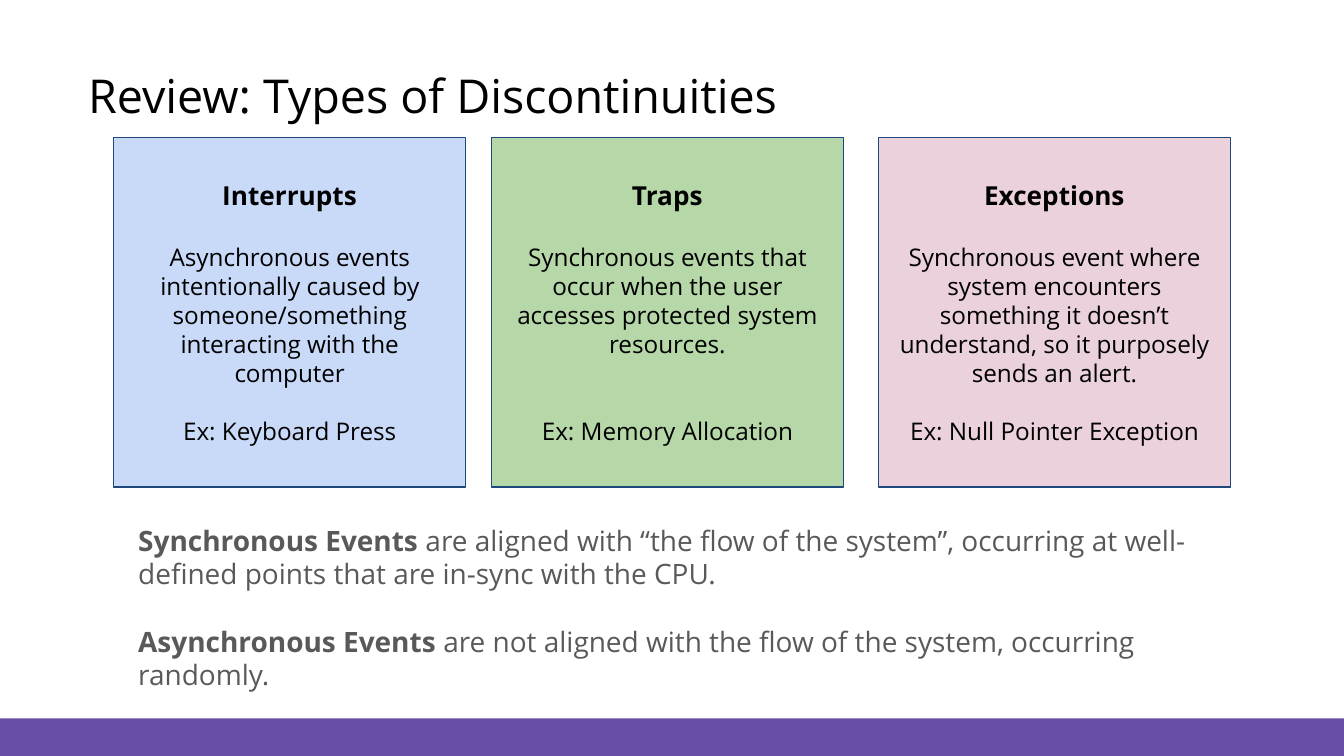
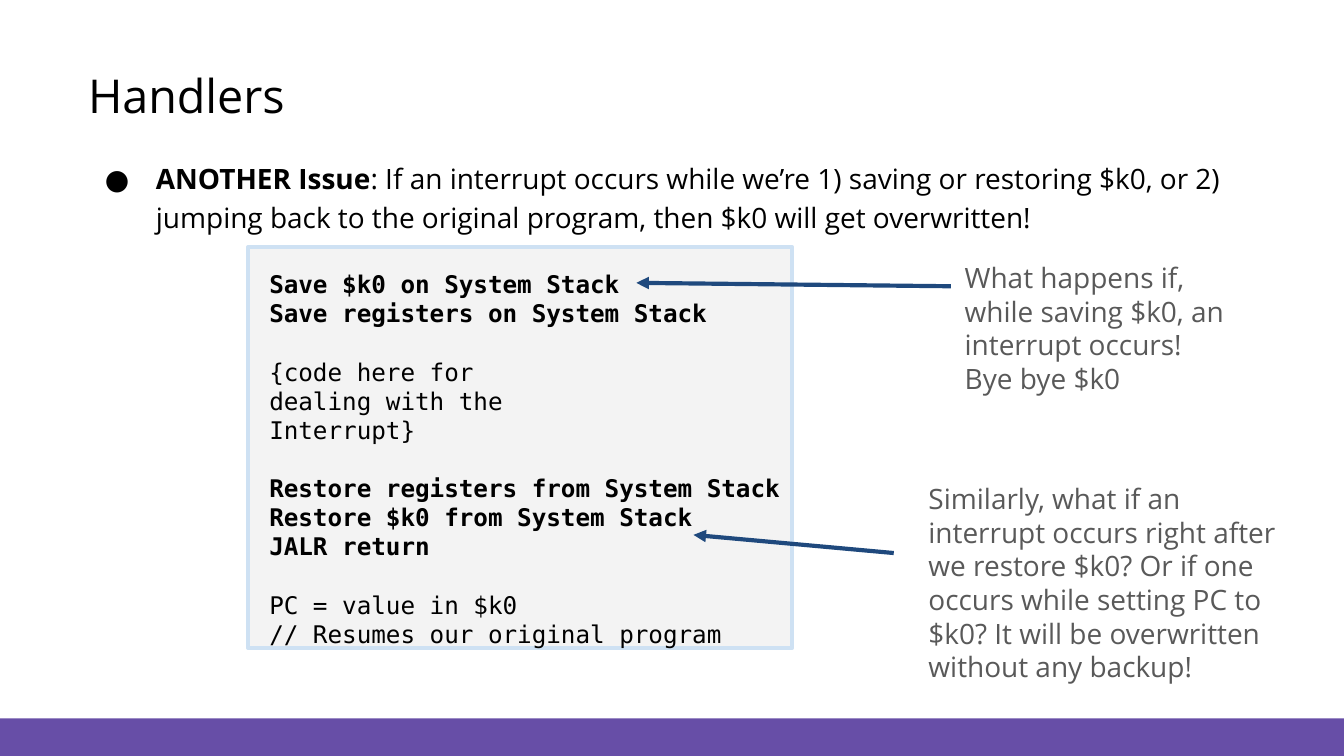
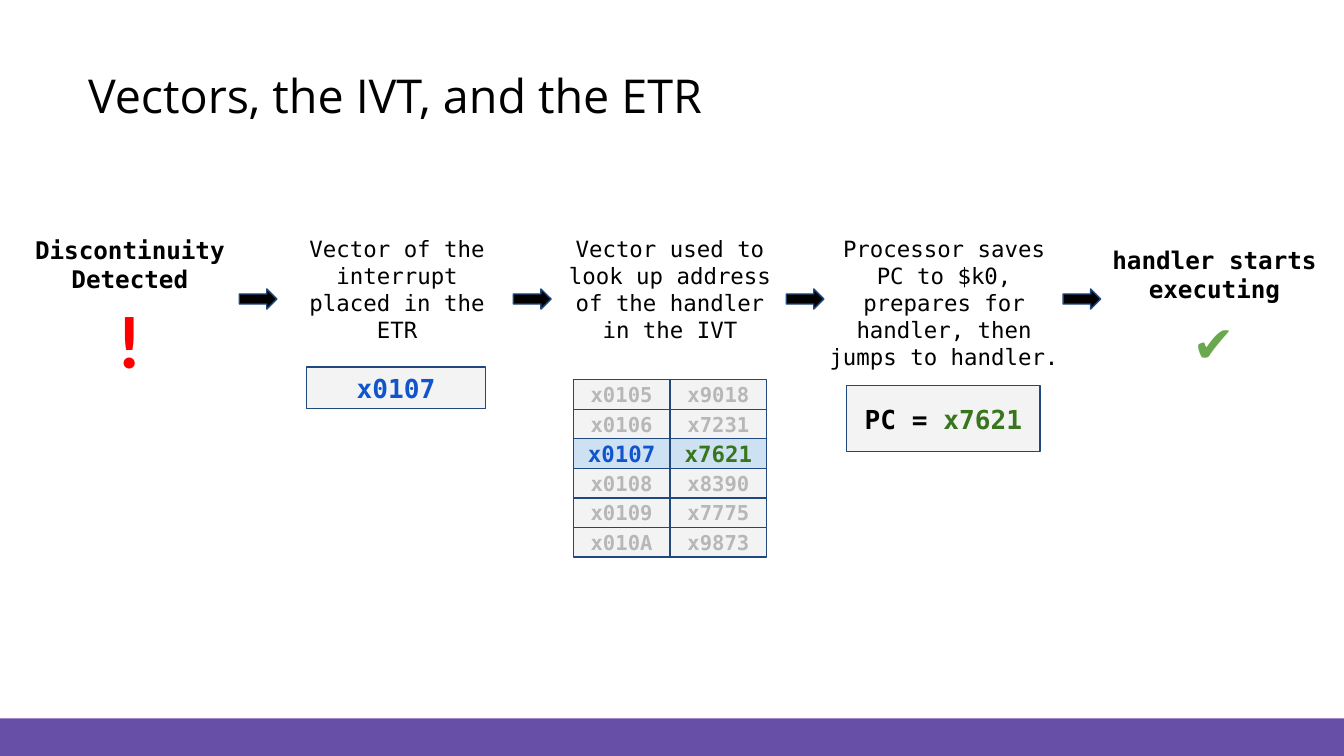
"""Build three slides on interrupts, their handlers and vectors."""
from dataclasses import dataclass

from lxml import etree
from pptx import Presentation
from pptx import util as u
from pptx.dml.color import RGBColor
from pptx.enum import shapes, text
from pptx.oxml import ns

SCALE = 4572
LEADING = 1.2


@dataclass(frozen=True)
class Theme:
    """Colours, fonts and type sizes of the deck."""
    black: str = "000000"
    grey: str = "595959"
    faded: str = "B7B7B7"
    panel: str = "F3F3F3"
    navy: str = "1F497D"
    purple: str = "674EA7"
    pale: str = "CEE1F3"
    blue: str = "1155CC"
    green: str = "38761D"
    tick: str = "6AA84F"
    red: str = "FF0000"
    sky: str = "C9DAF8"
    mint: str = "B6D7A8"
    rose: str = "EAD1DC"
    sans: str = "Open Sans"
    mono: str = "DejaVu Sans Mono"
    plain: str = "Calibri"
    title: int = 25
    body: int = 15
    head: int = 14
    code: int = 13
    step: int = 12
    dim: int = 11
    alarm: int = 40
    check: int = 31
    thin: float = 0.75
    thick: float = 2.25


T = Theme()


@dataclass(frozen=True)
class Box:
    """A place on the slide in px."""
    x: int
    y: int
    w: int
    h: int

    def emu(self) -> list[u.Emu]:
        """Return the place in EMU."""
        return [px(n) for n in (self.x, self.y, self.w, self.h)]


@dataclass(frozen=True)
class Run:
    """A stretch of text with its own weight and colour."""
    words: str
    bold: bool = False
    hue: str = T.black


@dataclass(frozen=True)
class Para:
    """A paragraph with a gap before it, counted in lines."""
    runs: tuple[Run, ...]
    size: int = T.code
    font: str = T.sans
    gap: int = 0


@dataclass(frozen=True)
class Card:
    """A kind of event in a coloured square."""
    x: int
    fill: str
    name: str
    what: str
    sample: str
    gap: int = 1


@dataclass(frozen=True)
class Step:
    """One stage of the flow in a column of text."""
    box: Box
    words: str
    size: int = T.step
    bold: bool = False
    mark: tuple[Para, ...] = ()


@dataclass(frozen=True)
class Note:
    """A remark with an arrow to the code."""
    box: Box
    words: str
    start: tuple[int, int]
    end: tuple[int, int]


def px(n: int) -> u.Emu:
    """Turn px into EMU."""
    return u.Emu(n * SCALE)


def para(words: str, size: int = T.code, font: str = T.sans, bold: bool = False,
         hue: str = T.black, gap: int = 0) -> Para:
    """Make a paragraph of one run."""
    return Para((Run(words, bold, hue),), size, font, gap)


def write(frame, paras: list[Para], align=text.PP_ALIGN.LEFT,
          inset: tuple[int, int] = (20, 20)) -> None:
    """Fill a text frame with paragraphs."""
    frame.word_wrap = True
    frame.margin_left = frame.margin_right = px(inset[0])
    frame.margin_top, frame.margin_bottom = px(inset[1]), px(inset[0])
    for i, item in enumerate(paras):
        line = frame.add_paragraph() if i else frame.paragraphs[0]
        line.alignment = align
        if item.gap:
            line.space_before = u.Pt(round(item.gap * paras[i - 1].size * LEADING, 1))
        for part in item.runs:
            run = line.add_run()
            run.text = part.words
            run.font.name, run.font.size = item.font, u.Pt(item.size)
            run.font.bold = part.bold
            run.font.color.rgb = RGBColor.from_string(part.hue)


def label(slide, box: Box, paras: list[Para], align=text.PP_ALIGN.LEFT,
          inset: tuple[int, int] = (20, 20)):
    """Add a text box."""
    shape = slide.shapes.add_textbox(*box.emu())
    write(shape.text_frame, paras, align, inset)
    return shape


def block(slide, box: Box, fill: str, edge: str = "", width: float = T.thin,
          paras: list[Para] | None = None, kind=shapes.MSO_SHAPE.RECTANGLE) -> None:
    """Add a filled shape with centred text."""
    shape = slide.shapes.add_shape(kind, *box.emu())
    shape.shadow.inherit = False
    shape.fill.solid()
    shape.fill.fore_color.rgb = RGBColor.from_string(fill)
    if edge:
        shape.line.color.rgb = RGBColor.from_string(edge)
        shape.line.width = u.Pt(width)
    else:
        shape.line.fill.background()
    if paras:
        write(shape.text_frame, paras, text.PP_ALIGN.CENTER)
        shape.text_frame.vertical_anchor = text.MSO_ANCHOR.MIDDLE


def arrow(slide, start: tuple[int, int], end: tuple[int, int]) -> None:
    """Add a line that ends in a triangle."""
    line = slide.shapes.add_connector(
        shapes.MSO_CONNECTOR.STRAIGHT, *(px(n) for n in start + end))
    line.line.color.rgb = RGBColor.from_string(T.navy)
    line.line.width = u.Pt(T.thick)
    props = line.line._get_or_add_ln()
    etree.SubElement(props, ns.qn("a:tailEnd"), type="triangle")
    etree.SubElement(line._element.spPr, ns.qn("a:effectLst"))


def lookup(slide, box: Box, rows: list[tuple[str, str]], hit: str) -> None:
    """Stack pairs of cells below a first cell and light up one row."""
    for i, row in enumerate(rows):
        lit = row[0] == hit
        for j, (value, hue) in enumerate(zip(row, (T.blue, T.green))):
            cell = Box(box.x + j * box.w, box.y + i * box.h, box.w, box.h)
            item = para(value, T.step if lit else T.dim, T.mono, True,
                        hue if lit else T.faded)
            block(slide, cell, T.pale if lit else T.panel, T.navy, paras=[item])


def page(deck, title: str):
    """Add a slide with its band and title."""
    slide = deck.slides.add_slide(deck.slide_layouts[6])
    block(slide, Box(0, 1069, 2000, 56), T.purple)
    shape = label(slide, Box(131, 96, 1596, 88), [para(title, T.title)], inset=(0, 4))
    shape.text_frame.auto_size = text.MSO_AUTO_SIZE.SHAPE_TO_FIT_TEXT
    return slide


def review(deck) -> None:
    """Build the slide on types of events."""
    slide = page(deck, "Review: Types of Discontinuities")
    cards = [
        Card(169, T.sky, "Interrupts",
             "Asynchronous events intentionally caused by someone/something "
             "interacting with the computer", "Ex: Keyboard Press"),
        Card(731, T.mint, "Traps",
             "Synchronous events that occur when the user accesses protected "
             "system resources.", "Ex: Memory Allocation", 2),
        Card(1307, T.rose, "Exceptions",
             "Synchronous event where system encounters something it doesn’t "
             "understand, so it purposely sends an alert.",
             "Ex: Null Pointer Exception"),
    ]
    for card in cards:
        block(slide, Box(card.x, 205, 524, 520), card.fill, T.navy, paras=[
            para(card.name, T.head, bold=True),
            para(card.what, gap=1),
            para(card.sample, gap=card.gap)])
    facts = [
        ("Synchronous Events", " are aligned with “the flow of the system”, occurring "
         "at well-defined points that are in-sync with the CPU."),
        ("Asynchronous Events", " are not aligned with the flow of the system, "
         "occurring randomly."),
    ]
    label(slide, Box(186, 759, 1630, 268), [
        Para((Run(term, True, T.grey), Run(rest, False, T.grey)), T.body, gap=min(i, 1))
        for i, (term, rest) in enumerate(facts)])


def issue(slide) -> None:
    """Add the bullet that states the issue."""
    item = Para((Run("ANOTHER Issue", True), Run(
        ": If an interrupt occurs while we’re 1) saving or restoring $k0, or 2) "
        "jumping back to the original program, then $k0 will get overwritten!")), T.body)
    shape = label(slide, Box(150, 231, 1810, 112), [item], inset=(0, 2))
    shape.text_frame.auto_size = text.MSO_AUTO_SIZE.SHAPE_TO_FIT_TEXT
    line = shape.text_frame.paragraphs[0]
    line.line_spacing = 1.15
    props = line._p.get_or_add_pPr()
    props.set("marL", str(px(82)))
    props.set("indent", str(px(-76)))
    hue = etree.SubElement(props, ns.qn("a:buClr"))
    etree.SubElement(hue, ns.qn("a:srgbClr"), val=T.black)
    etree.SubElement(props, ns.qn("a:buFont"), typeface=T.sans)
    etree.SubElement(props, ns.qn("a:buChar"), char="●")


def handlers(deck) -> None:
    """Build the slide on handlers."""
    slide = page(deck, "Handlers")
    block(slide, Box(369, 368, 810, 596), T.panel, T.pale, T.thick)
    parts = [
        (True, ["Save $k0 on System Stack", "Save registers on System Stack"]),
        (False, ["{code here for", "dealing with the", "Interrupt}"]),
        (True, ["Restore registers from System Stack",
                "Restore $k0 from System Stack", "JALR return"]),
        (False, ["PC = value in $k0", "// Resumes our original program"]),
    ]
    label(slide, Box(381, 381, 810, 454), [
        para(line, T.code, T.mono, bold, gap=int(i > 0 and j == 0))
        for i, (bold, lines) in enumerate(parts) for j, line in enumerate(lines)])
    issue(slide)
    notes = [
        Note(Box(1416, 368, 426, 94),
             "What happens if, while saving $k0, an interrupt occurs! Bye bye $k0",
             (1415, 426), (947, 421)),
        Note(Box(1362, 697, 598, 94),
             "Similarly, what if an interrupt occurs right after we restore $k0? Or if "
             "one occurs while setting PC to $k0? It will be overwritten without any "
             "backup!", (1330, 823), (1032, 796)),
    ]
    for note in notes:
        arrow(slide, note.start, note.end)
        label(slide, note.box, [para(note.words, T.body, hue=T.grey)])


def vectors(deck) -> None:
    """Build the slide on the path from vector to handler."""
    slide = page(deck, "Vectors, the IVT, and the ETR")
    alarm = para("!", T.alarm, T.plain, True, T.red)
    check = para("✔", T.check, T.mono, True, T.tick)
    steps = [
        Step(Box(14, 330, 358, 262), "Discontinuity Detected", T.code, True, (alarm,)),
        Step(Box(412, 330, 358, 262), "Vector of the interrupt placed in the ETR"),
        Step(Box(818, 330, 358, 262),
             "Vector used to look up address of the handler in the IVT"),
        Step(Box(1214, 330, 382, 262),
             "Processor saves PC to $k0, prepares for handler, then jumps to handler."),
        Step(Box(1628, 345, 358, 262), "handler starts executing", T.code, True, (check,)),
    ]
    for step in steps:
        first = para(step.words, step.size, T.mono, step.bold)
        label(slide, step.box, [first, *step.mark], text.PP_ALIGN.CENTER)
    block(slide, Box(456, 546, 267, 62), T.panel, T.navy,
          paras=[para("x0107", T.head, T.mono, True, T.blue)])
    rows = [("x0105", "x9018"), ("x0106", "x7231"), ("x0107", "x7621"),
            ("x0108", "x8390"), ("x0109", "x7775"), ("x010A", "x9873")]
    lookup(slide, Box(853, 565, 144, 44), rows, "x0107")
    block(slide, Box(1260, 574, 288, 98), T.panel, T.navy, paras=[
        Para((Run("PC = ", True), Run("x7621", True, T.green)), T.head, T.mono)])
    for x in (356, 764, 1170, 1582):
        block(slide, Box(x, 430, 56, 30), T.black, T.navy,
              kind=shapes.MSO_SHAPE.RIGHT_ARROW)


def main() -> None:
    """Build and save the deck."""
    deck = Presentation()
    deck.slide_width, deck.slide_height = px(2000), px(1125)
    for build in (review, handlers, vectors):
        build(deck)
    deck.save("out.pptx")


if __name__ == "__main__":
    main()
